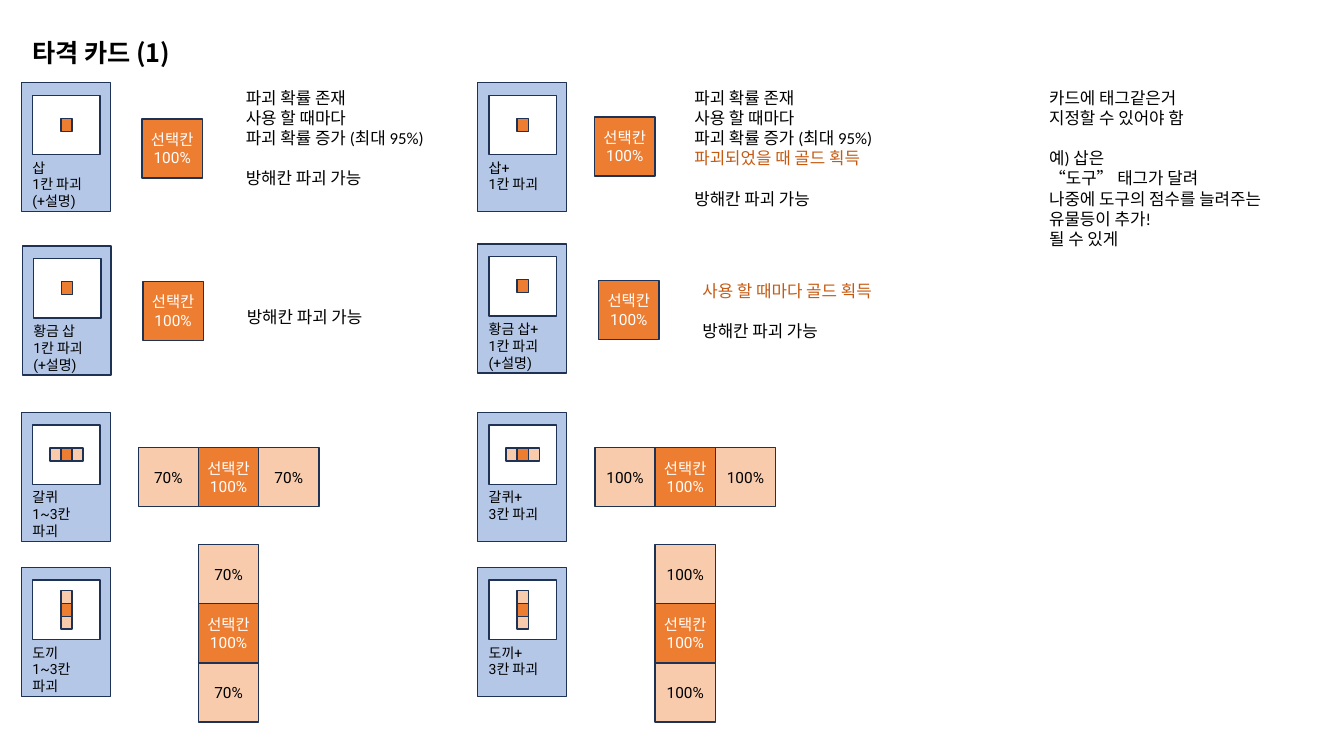
from pptx import Presentation
from pptx.dml.color import RGBColor
from pptx.enum import shapes, text
from pptx.util import Pt

INK, NAVY, BLUE, WHITE = "000000", "1E3256", "B4C7E7", "FFFFFF"
ORANGE, PEACH, RUST = "ED7D31", "F8CBAD", "C55A11"
ALONE, ACROSS, DOWN = None, (1, 0), (0, 1)
BREAK = "방해칸 파괴 가능"
ODDS = ["파괴 확률 존재", "사용 할 때마다", "파괴 확률 증가 (최대 95%)"]
DIG = ["1칸 파괴", "(+설명)"]

CARDS = [
    (15.4, 59, ["삽", *DIG], ALONE),
    (341.3, 59, ["삽+", DIG[0]], ALONE),
    (16, 175.7, ["황금 삽", *DIG], ALONE),
    (341.3, 174.2, ["황금 삽+", *DIG], ALONE),
    (15.4, 294.5, ["갈퀴", "1~3칸 파괴"], ACROSS),
    (341.3, 294.5, ["갈퀴+", "3칸 파괴"], ACROSS),
    (15.4, 405.4, ["도끼", "1~3칸 파괴"], DOWN),
    (341.3, 405.4, ["도끼+", "3칸 파괴"], DOWN),
]
GRIDS = [
    (101.5, 85, ALONE, ""),
    (424.8, 83.5, ALONE, ""),
    (102.2, 200.9, ALONE, ""),
    (427.7, 200.2, ALONE, ""),
    (141.8, 319.7, ACROSS, "70%"),
    (468, 319.7, ACROSS, "100%"),
    (141.8, 431.3, DOWN, "70%"),
    (468, 431.3, DOWN, "100%"),
]
NOTES = [
    (168.5, 59, 157, 94.3, [*ODDS, "", BREAK]),
    (488.9, 59, 180, 94.3, [*ODDS, "파괴되었을 때 골드 획득", "", BREAK]),
    (169.2, 215.3, 157, 21.6, [BREAK]),
    (494.6, 196.6, 157, 51.1, ["사용 할 때마다 골드 획득", "", BREAK]),
    (742.3, 59, 180, 123.8, [
        "카드에 태그같은거", "지정할 수 있어야 함", "", "예) 삽은",
        "“도구” 태그가 달려", "나중에 도구의 점수를 늘려주는 유물등이 추가!",
        "될 수 있게"]),
]


def color(code):
    return RGBColor.from_string(code)


def write(frame, lines, size, face, ink=INK, align=text.PP_ALIGN.LEFT, bold=False):
    frame.word_wrap = True
    gap, first = 0, True
    for line in lines:
        if not line:
            gap = size * 1.2
            continue
        para = frame.paragraphs[0] if first else frame.add_paragraph()
        para.alignment = align
        para.space_before = Pt(gap)
        run = para.add_run()
        run.text = line
        font = run.font
        font.size, font.name, font.bold = Pt(size), face, bold
        font.color.rgb = color(RUST if "골드" in line else ink)
        gap, first = 0, False


def label(slide, x, y, w, h, lines, size, face):
    box = slide.shapes.add_textbox(Pt(x), Pt(y), Pt(w), Pt(h))
    write(box.text_frame, lines, size, face)


def block(slide, x, y, w, h, fill, lines=(), ink=INK):
    box = slide.shapes.add_shape(
        shapes.MSO_SHAPE.RECTANGLE, Pt(x), Pt(y), Pt(w), Pt(h))
    box.shadow.inherit = False
    box.fill.solid()
    box.fill.fore_color.rgb = color(fill)
    box.line.color.rgb = color(NAVY)
    box.line.width = Pt(1)
    if lines:
        frame = box.text_frame
        frame.margin_left = frame.margin_right = 0
        frame.margin_top = frame.margin_bottom = 0
        frame.vertical_anchor = text.MSO_ANCHOR.MIDDLE
        write(frame, lines, 11, "Roboto", ink, text.PP_ALIGN.CENTER)


def cells(slide, x, y, w, h, way, main=(), side=()):
    block(slide, x, y, w, h, ORANGE, main, WHITE)
    if way:
        for sign in (-1, 1):
            block(slide, x + sign * way[0] * w, y + sign * way[1] * h,
                  w, h, PEACH, side)


def card(slide, x, y, lines, way):
    block(slide, x, y, 63.4, 92.2, BLUE)
    block(slide, x + 7.9, y + 9, 48.2, 42.5, WHITE)
    cells(slide, x + 28.1, y + 25.6, 7.9, 9.2, way)
    label(slide, x + 0.7, y + 51.1, 55.6, 43.9, lines, 10, "Roboto")


def title(slide, line):
    head = slide.shapes.title
    head.left, head.top = Pt(15.8), Pt(23)
    head.width, head.height = Pt(794), Pt(28.8)
    head.text_frame.vertical_anchor = text.MSO_ANCHOR.TOP
    write(head.text_frame, [line], 18, "Noto Sans CJK KR", bold=True)


def main():
    deck = Presentation()
    deck.slide_width, deck.slide_height = Pt(960), Pt(540)
    slide = deck.slides.add_slide(deck.slide_layouts[5])
    title(slide, "타격 카드 (1)")
    for item in CARDS:
        card(slide, *item)
    for x, y, way, odds in GRIDS:
        cells(slide, x, y, 43, 42.3, way, ["선택칸", "100%"], [odds])
    for x, y, w, h, lines in NOTES:
        label(slide, x, y, w, h, lines, 12, "Calibri")
    deck.save("out.pptx")


if __name__ == "__main__":
    main()
